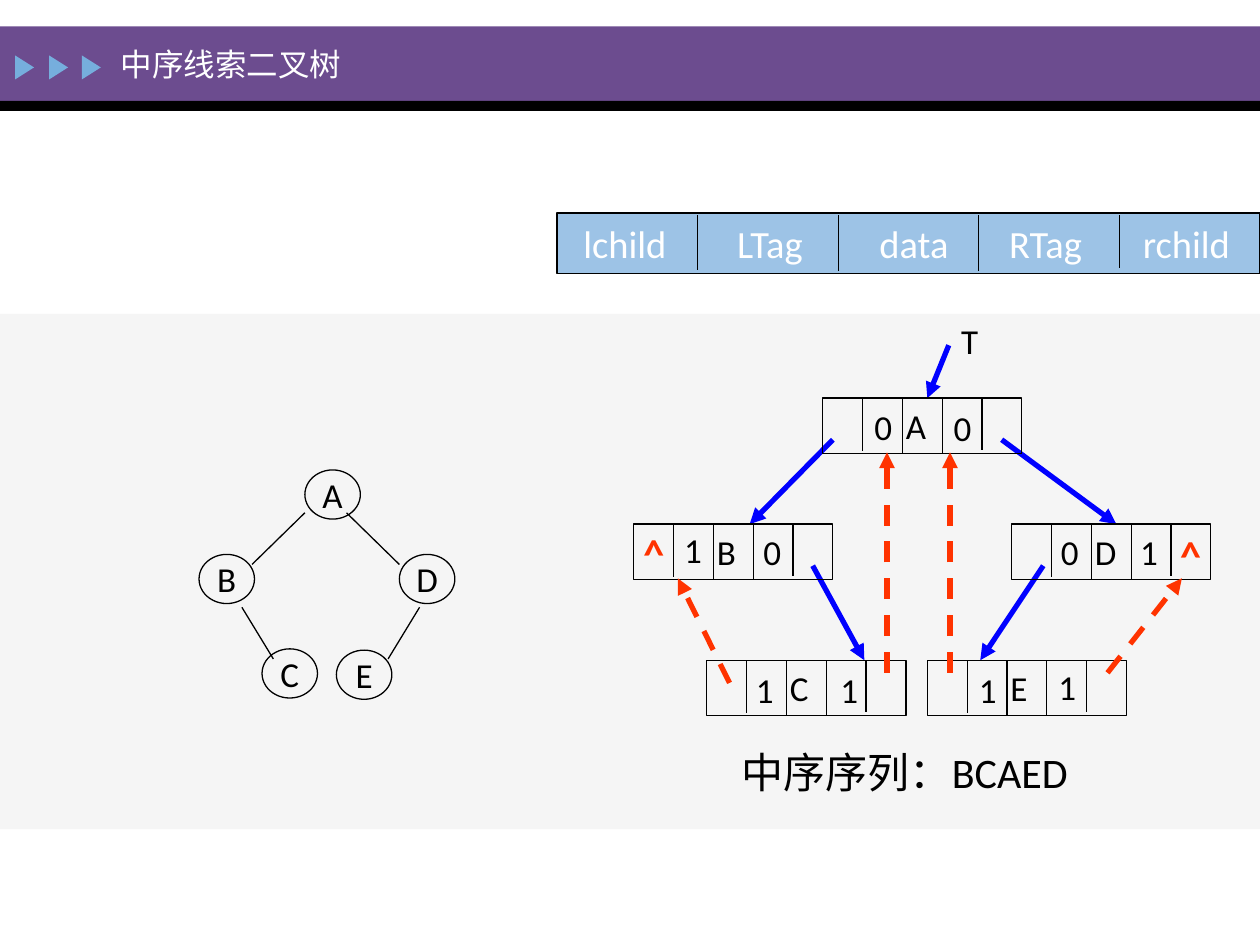
"""Build the slide on the inorder threaded binary tree."""
import pptx
import pptx.dml.color
import pptx.enum.dml
import pptx.enum.shapes
import pptx.enum.text
import pptx.oxml
import pptx.oxml.ns
import pptx.util

Inches = pptx.util.Inches
hex_colour = pptx.dml.color.RGBColor.from_string
SHAPE = pptx.enum.shapes.MSO_SHAPE
ALIGN = pptx.enum.text.PP_ALIGN
ANCHOR = pptx.enum.text.MSO_ANCHOR
BLACK, WHITE, BLUE, RED = "000000", "FFFFFF", "0000FF", "FF3300"
NAMESPACE = pptx.oxml.ns.nsdecls("a")

deck = pptx.Presentation()
deck.slide_width, deck.slide_height = Inches(10), Inches(7.5)
page = deck.slides.add_slide(deck.slide_layouts[5])


def add_box(bounds, kind=None, text="", fill=None, outline=None, size=20,
            colour=BLACK, bold=False, align=ALIGN.CENTER, wrap=False):
    """Add a preset shape, or a text box when no kind is given."""
    place = [Inches(value) for value in bounds]
    if kind is None:
        box = page.shapes.add_textbox(*place)
    else:
        box = page.shapes.add_shape(kind, *place)
        box.shadow.inherit = False
        if fill:
            box.fill.solid()
            box.fill.fore_color.rgb = hex_colour(fill)
        else:
            box.fill.background()
        if outline:
            box.line.color.rgb = hex_colour(outline)
            box.line.width = pptx.util.Pt(0.75)
        else:
            box.line.fill.background()
    if text:
        frame = box.text_frame
        frame.word_wrap = wrap
        frame.vertical_anchor = ANCHOR.MIDDLE
        para = frame.paragraphs[0]
        para.alignment = align
        span = para.add_run()
        span.text = text
        look = {"name": "Calibri", "size": pptx.util.Pt(size), "bold": bold}
        for name, value in look.items():
            setattr(span.font, name, value)
        span.font.color.rgb = hex_colour(colour)
    return box


def add_line(start, end, colour=BLACK, width=0.75, arrow=False, dashed=False):
    """Add a straight connector, optionally dashed or with an arrowhead."""
    line = page.shapes.add_connector(
        pptx.enum.shapes.MSO_CONNECTOR.STRAIGHT,
        *[Inches(value) for value in (*start, *end)])
    line.line.color.rgb = hex_colour(colour)
    line.line.width = pptx.util.Pt(width)
    if dashed:
        line.line.dash_style = pptx.enum.dml.MSO_LINE.DASH
    if arrow:
        line.line._get_or_add_ln().append(
            pptx.oxml.parse_xml(f'<a:tailEnd {NAMESPACE} type="triangle"/>'))
    line.element.spPr.append(pptx.oxml.parse_xml(f"<a:effectLst {NAMESPACE}/>"))


add_box((0, 0.21, 10, 0.59), SHAPE.RECTANGLE, fill="6C4C8F")
add_box((0, 0.8, 10, 0.08), SHAPE.RECTANGLE, fill=BLACK)
for left in (0.1, 0.37, 0.63):
    marker = add_box((left, 0.46, 0.19, 0.15), SHAPE.ISOSCELES_TRIANGLE, fill="76AEDD")
    marker.rotation = 90

title = page.shapes.title
title.element.getparent().append(title.element)
title_place = {"left": 0.86, "top": 0.23, "width": 4.59, "height": 0.56}
for name, value in title_place.items():
    setattr(title, name, Inches(value))
title.text_frame.text = "中序线索二叉树"
title.text_frame.word_wrap = True
title.text_frame.vertical_anchor = ANCHOR.MIDDLE
title_para = title.text_frame.paragraphs[0]
title_para.alignment = ALIGN.LEFT
title_look = {"name": "Calibri", "size": pptx.util.Pt(18), "bold": False}
for name, value in title_look.items():
    setattr(title_para.runs[0].font, name, value)
title_para.runs[0].font.color.rgb = hex_colour(WHITE)

add_box((0, 2.49, 10, 4.09), SHAPE.RECTANGLE, fill="F5F5F5")

tree_nodes = [("A", 2.42, 3.73), ("B", 1.58, 4.4), ("C", 2.08, 5.15),
              ("D", 3.17, 4.4), ("E", 2.67, 5.16)]
for letter, left, top in tree_nodes:
    add_box((left, top, 0.44, 0.39), SHAPE.OVAL, letter, outline=BLACK)
tree_edges = [((2.42, 4.07), (2, 4.48)), ((2.75, 4.07), (3.17, 4.48)),
              ((1.92, 4.82), (2.17, 5.23)), ((3.33, 4.82), (3.08, 5.23))]
for start, end in tree_edges:
    add_line(start, end)

child_links = [((6.61, 3.49), (5.95, 4.16)), ((7.95, 3.49), (8.86, 4.16)),
               ((6.45, 4.49), (6.86, 5.24)), ((8.28, 4.49), (7.78, 5.24)),
               ((7.53, 2.74), (7.36, 3.16))]
for start, end in child_links:
    add_line(start, end, BLUE, 3, arrow=True)

record_width, record_height = 1.58, 0.44
records = [("A", 6.53, 3.16), ("B", 5.03, 4.16), ("D", 8.03, 4.16),
           ("C", 5.61, 5.24), ("E", 7.36, 5.24)]
for letter, left, top in records:
    record = add_box((left, top, record_width, record_height), SHAPE.RECTANGLE,
                     letter, outline=BLACK, align=ALIGN.LEFT, wrap=True)
    record.text_frame.margin_left = Inches(0.66)
    for index, length in enumerate((0.42, 0.44, 0.44, 0.41), start=1):
        x = left + index * record_width / 5
        add_line((x, top), (x, top + length))

add_box((7.53, 2.49, 0.37, 0.43), text="T", align=ALIGN.LEFT)
add_box((5.79, 5.87, 3.06, 0.51), text="中序序列：BCAED", size=24, align=ALIGN.LEFT)

tags = [("0", 6.84, 3.17), ("0", 7.47, 3.18), ("1", 5.33, 4.15), ("0", 5.96, 4.16),
        ("0", 8.32, 4.16), ("1", 8.95, 4.16), ("1", 5.9, 5.26), ("1", 6.57, 5.26),
        ("1", 7.67, 5.26), ("1", 8.3, 5.23)]
for digit, left, top in tags:
    add_box((left, top, 0.34, 0.43), text=digit)
for left, top in ((4.99, 4.14), (9.25, 4.15)):
    add_box((left, top, 0.4, 0.5), text="^", size=24, colour=RED, bold=True)

threads = [((5.79, 5.42), (5.38, 4.59)), ((7.04, 5.34), (7.04, 3.59)),
           ((7.54, 5.34), (7.54, 3.59)), ((8.79, 5.34), (9.38, 4.59))]
for start, end in threads:
    add_line(start, end, RED, 3, arrow=True, dashed=True)

header = add_box((4.42, 1.69, 5.58, 0.48), SHAPE.RECTANGLE,
                 "lchild\tLTag\tdata\tRTag\trchild", fill="9DC3E6", outline=BLACK,
                 size=22, colour=WHITE, align=ALIGN.LEFT, wrap=True)
header.text_frame.margin_left = Inches(0.21)
header.text_frame.margin_right = 0
stops = "".join(f'<a:tab pos="{Inches(stop)}" algn="l"/>' for stop in (1.22, 2.35, 3.38, 4.44))
header.text_frame.paragraphs[0]._p.get_or_add_pPr().append(
    pptx.oxml.parse_xml(f"<a:tabLst {NAMESPACE}>{stops}</a:tabLst>"))
for index, bottom in enumerate((2.14, 2.15, 2.15, 2.13), start=1):
    x = 4.42 + index * 5.58 / 5
    add_line((x, 1.71), (x, bottom))

deck.save("out.pptx")
